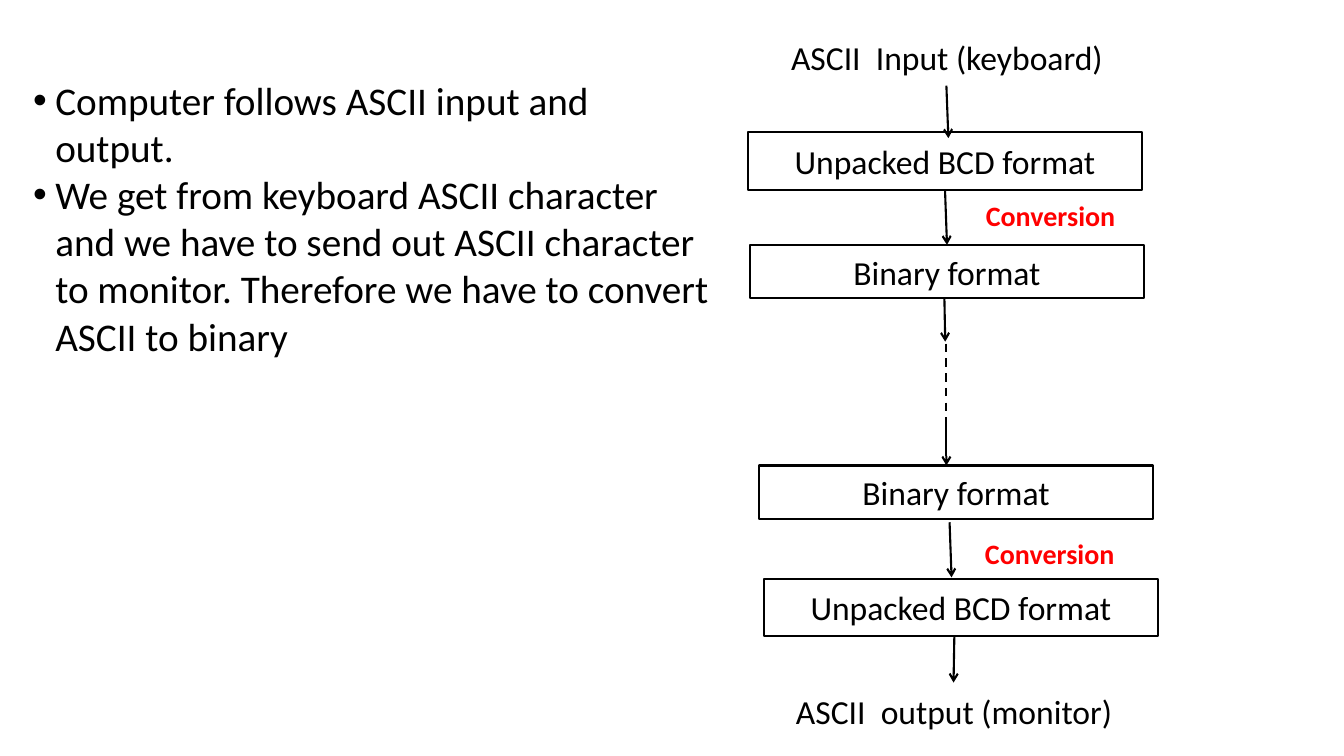
import dataclasses

import lxml.etree
import pptx
import pptx.dml.color
import pptx.enum.dml
import pptx.enum.shapes
import pptx.enum.text
import pptx.oxml.ns
import pptx.util

Cm = pptx.util.Cm
Pt = pptx.util.Pt


@dataclasses.dataclass(frozen=True)
class Theme:
    """Fonts, sizes and colours of the slide."""
    font: str = "Calibri"
    ink: str = "000000"
    accent: str = "FF0000"
    points_size: float = 28
    step_size: float = 24
    note_size: float = 20
    line_width: float = 1.5


THEME = Theme()


def rgb(value):
    """Turn a hex string into a colour."""
    return pptx.dml.color.RGBColor.from_string(value)


def add_xml(parent, tag, **attributes):
    """Append a DrawingML element to a parent."""
    return lxml.etree.SubElement(parent, pptx.oxml.ns.qn(tag), attributes)


def style_font(paragraph, size, colour=THEME.ink, bold=False):
    """Format every run of a paragraph."""
    for run in paragraph.runs:
        run.font.name = THEME.font
        run.font.size = Pt(size)
        run.font.bold = bold
        run.font.color.rgb = rgb(colour)


def style_line(line):
    """Give an outline or a connector the diagram's stroke."""
    line.color.rgb = rgb(THEME.ink)
    line.width = Pt(THEME.line_width)


def fill_label(shape, text, size, colour=THEME.ink, bold=False):
    """Write one centred label into a shape."""
    frame = shape.text_frame
    frame.word_wrap = True
    frame.vertical_anchor = pptx.enum.text.MSO_ANCHOR.MIDDLE
    frame.text = text
    paragraph = frame.paragraphs[0]
    paragraph.alignment = pptx.enum.text.PP_ALIGN.CENTER
    style_font(paragraph, size, colour, bold)


def add_flow_line(slide, start, end, dashed=False):
    """Draw a dashed line or an arrow between two points."""
    flow = slide.shapes.add_connector(
        pptx.enum.shapes.MSO_CONNECTOR.STRAIGHT,
        *(Cm(value) for value in (*start, *end)))
    style_line(flow.line)
    if dashed:
        flow.line.dash_style = pptx.enum.dml.MSO_LINE.DASH
    else:
        add_xml(flow.line._get_or_add_ln(), "a:tailEnd", type="arrow")
    add_xml(flow._element.spPr, "a:effectLst")
    return flow


def build_points(slide, left, top, width, height):
    """Place the bulleted explanation in the body placeholder."""
    points = slide.placeholders[1]
    points.left, points.top = Cm(left), Cm(top)
    points.width, points.height = Cm(width), Cm(height)
    frame = points.text_frame
    frame.word_wrap = True
    frame.auto_size = pptx.enum.text.MSO_AUTO_SIZE.NONE
    frame.vertical_anchor = pptx.enum.text.MSO_ANCHOR.TOP
    frame.text = (
        "Computer follows ASCII input and\voutput.\n"
        "We get from keyboard ASCII character\v"
        "and we have to send out ASCII character\v"
        "to monitor. Therefore we have to convert\v"
        "ASCII to binary")
    hang = Cm(0.56)
    for point in frame.paragraphs:
        properties = point._p.get_or_add_pPr()
        properties.set("marL", str(hang))
        properties.set("indent", str(-hang))
        add_xml(properties, "a:buFont", typeface="Arial")
        add_xml(properties, "a:buChar", char="•")
        point.alignment = pptx.enum.text.PP_ALIGN.LEFT
        point.line_spacing = 1.0
        point.space_before = point.space_after = Pt(0)
        style_font(point, THEME.points_size)


def build_conversion_flow(slide, left, top, width):
    """Place the keyboard-to-monitor flow from a left top corner."""
    label_height, binary_height = 1.45, 1.35

    def area(dx, dy, height=label_height):
        return Cm(left + dx), Cm(top + dy), Cm(width), Cm(height)

    def point(dx, dy):
        return left + dx, top + dy

    for text, dx, dy in (("ASCII  Input (keyboard)", 0.05, 0),
                         ("ASCII  output (monitor)", 0.23, 16.49)):
        fill_label(slide.shapes.add_textbox(*area(dx, dy)), text, THEME.step_size)

    steps = []
    for text, dx, dy, height in (
            ("Unpacked BCD format", 0, 2.62, label_height),
            ("Binary format", 0.05, 5.46, binary_height),
            ("Binary format", 0.28, 11.02, binary_height),
            ("Unpacked BCD format", 0.4, 13.87, label_height)):
        step = slide.shapes.add_shape(
            pptx.enum.shapes.MSO_SHAPE.RECTANGLE, *area(dx, dy, height))
        step.shadow.inherit = False
        step.fill.background()
        style_line(step.line)
        fill_label(step, text, THEME.step_size)
        steps.append(step)

    for dx, dy in ((2.66, 3.99), (2.64, 12.5)):
        fill_label(slide.shapes.add_textbox(*area(dx, dy)), "Conversion",
                   THEME.note_size, THEME.accent, bold=True)

    for start, end in (((5, 1.45), (5.05, 2.77)),
                       ((4.95, 6.83), (4.97, 7.9)),
                       ((5, 9.96), (5, 11.02)),
                       ((5.08, 12.45), (5.13, 13.84)),
                       ((5.2, 15.34), (5.18, 16.49))):
        add_flow_line(slide, point(*start), point(*end))
    add_flow_line(slide, point(5, 7.95), point(5, 10.06), dashed=True)
    unpacked_to_binary = add_flow_line(slide, point(4.97, 4.07), point(5.02, 5.46))
    unpacked_to_binary.begin_connect(steps[0], 2)
    unpacked_to_binary.end_connect(steps[1], 0)


def main():
    """Build and save the slide."""
    deck = pptx.Presentation()
    deck.slide_width, deck.slide_height = Cm(33.87), Cm(19.05)
    slide = deck.slides.add_slide(deck.slide_layouts[1])
    heading = slide.shapes.title._element
    heading.getparent().remove(heading)
    build_points(slide, 0.58, 1.8, 17.75, 7.44)
    build_conversion_flow(slide, 18.85, 0.71, 9.93)
    deck.save("out.pptx")


if __name__ == "__main__":
    main()
